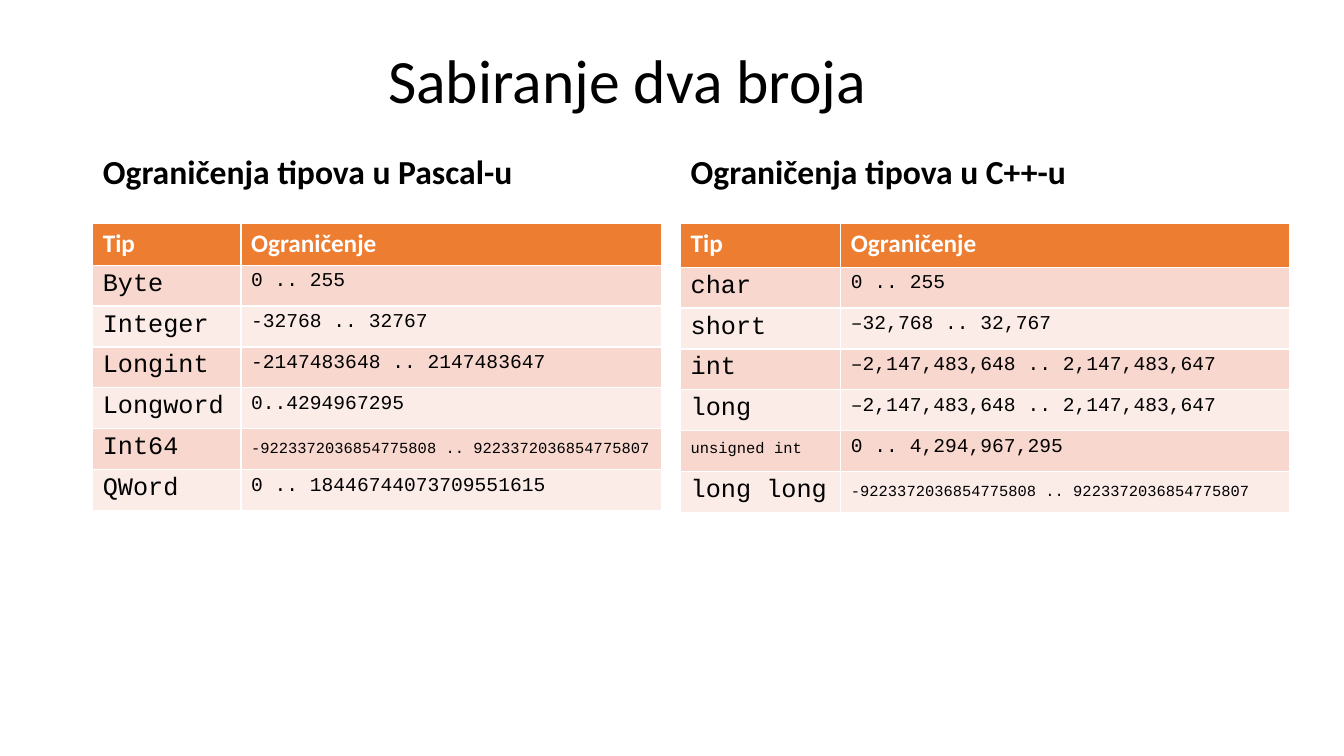
import pptx
import pptx.util
import pptx.dml.color
import pptx.enum.text

Inches, Pt = pptx.util.Inches, pptx.util.Pt
ANCHOR = pptx.enum.text.MSO_ANCHOR

COLORS = {
    "text": "000000",
    "header_text": "FFFFFF",
    "header": "ED7D31",
    "odd": "F8D7CE",
    "even": "FCECE8",
}
INT64_RANGE = "-9223372036854775808 .. 9223372036854775807"
CPP_LONG_RANGE = "–2,147,483,648 .. 2,147,483,647"
SMALL_TEXT_TOPS = {"unsigned int": 0.1, INT64_RANGE: 0.12}


def rgb(name):
    return pptx.dml.color.RGBColor.from_string(COLORS[name])


def write(tf, text, size, font="Calibri", color="text", bold=False):
    p = tf.paragraphs[0]
    p.alignment = pptx.enum.text.PP_ALIGN.LEFT
    r = p.add_run()
    r.text = text
    formats = {"size": Pt(size), "name": font, "bold": bold}
    for key, value in formats.items():
        setattr(r.font, key, value)
    r.font.color.rgb = rgb(color)
    return p


prs = pptx.Presentation()
prs.slide_width = Inches(13.33)
prs.slide_height = Inches(7.5)
s = prs.slides.add_slide(prs.slide_layouts[4])
placeholders = {sp.placeholder_format.idx: sp for sp in s.placeholders}
for idx in (2, 4):
    sp = placeholders[idx]
    sp.element.getparent().remove(sp.element)

headings = [
    (0, "Sabiranje dva broja", (3.75, 0.4, 8.67, 0.86), 44, False, ANCHOR.MIDDLE, 0),
    (1, "Ograničenja tipova u Pascal-u", (0.92, 1.44, 5.64, 0.51), 24, True, ANCHOR.BOTTOM, 10),
    (3, "Ograničenja tipova u C++-u", (6.75, 1.44, 5.67, 0.51), 24, True, ANCHOR.BOTTOM, 10),
]
for idx, text, box, size, bold, anchor, space in headings:
    sp = placeholders[idx]
    sp.left, sp.top, sp.width, sp.height = map(Inches, box)
    tf = sp.text_frame
    tf.auto_size = pptx.enum.text.MSO_AUTO_SIZE.NONE
    tf.vertical_anchor = anchor
    p = write(tf, text, size, bold=bold)
    p.line_spacing = 0.9
    p.space_before = Pt(space)

pascal_types = [
    ("Byte", "0 .. 255"),
    ("Integer", "-32768 .. 32767"),
    ("Longint", "-2147483648 .. 2147483647"),
    ("Longword", "0..4294967295"),
    ("Int64", INT64_RANGE),
    ("QWord", "0 .. 18446744073709551615"),
]
cpp_types = [
    ("char", "0 .. 255"),
    ("short", "–32,768 .. 32,767"),
    ("int", CPP_LONG_RANGE),
    ("long", CPP_LONG_RANGE),
    ("unsigned int", "0 .. 4,294,967,295"),
    ("long long", INT64_RANGE),
]
tables = [
    (0.92, (1.47, 4.17), 0.41, pascal_types),
    (6.75, (1.59, 4.45), 0.43, cpp_types),
]
for left, widths, header_height, types in tables:
    rows = [("Tip", "Ograničenje")] + types
    heights = [header_height] + [0.406] * len(types)
    table = s.shapes.add_table(
        len(rows), 2, Inches(left), Inches(2.22), Inches(sum(widths)), Inches(sum(heights))
    ).table
    for column, width in zip(table.columns, widths):
        column.width = Inches(width)
    for i, (row, height) in enumerate(zip(rows, heights)):
        table.rows[i].height = Inches(height)
        fill = "header" if i == 0 else "odd" if i % 2 else "even"
        for j, text in enumerate(row):
            cell = table.cell(i, j)
            cell.fill.solid()
            cell.fill.fore_color.rgb = rgb(fill)
            if i == 0:
                write(cell.text_frame, text, 18, color="header_text", bold=True)
            elif text in SMALL_TEXT_TOPS:
                cell.margin_top = Inches(SMALL_TEXT_TOPS[text])
                write(cell.text_frame, text, 11, "Courier New")
            else:
                write(cell.text_frame, text, 14 if j else 18, "Courier New")

prs.save("out.pptx")
